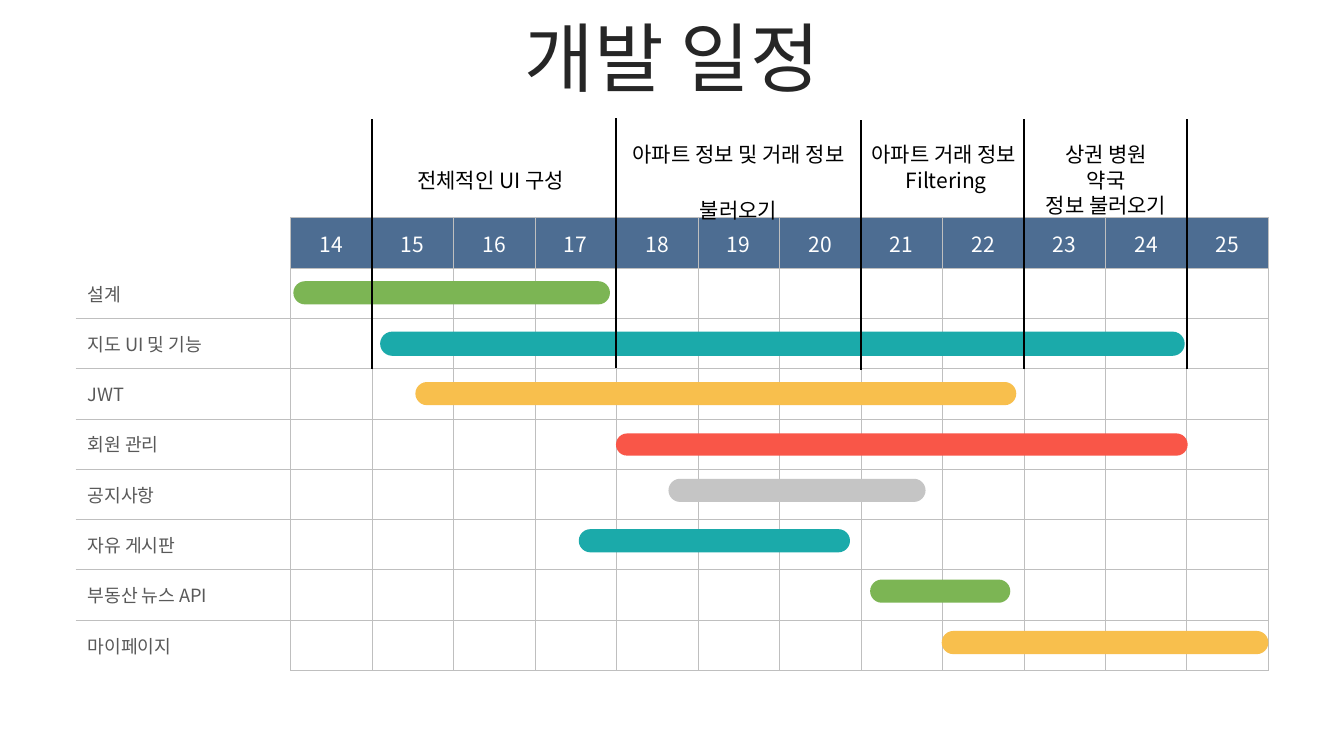
from dataclasses import dataclass

from lxml import etree
from pptx import Presentation, util as u
from pptx.dml.color import RGBColor
from pptx.enum import shapes, text
from pptx.oxml import ns

FONT = "Noto Sans CJK KR"
GREEN, TEAL, YELLOW, RED, GREY = "7CB554", "1BAAAA", "F8BF4D", "F95648", "C5C5C5"
GRID, HEADER, LABEL, BLACK, WHITE = "BFBFBF", "4D6D92", "595959", "000000", "FFFFFF"
NO_STYLE = "{2D5ABB26-0587-4C30-8999-92F81FD0307C}"

# Schedule grid
LEFT, TOP, WIDTH, HEIGHT, LABEL_WIDTH = 0.75, 2.16, 11.83, 4.49, 2.13
DAYS = range(14, 26)
DAY_WIDTH = (WIDTH - LABEL_WIDTH) / len(DAYS)


@dataclass
class Task:
    name: str
    left: float
    top: float
    width: float
    color: str
    height: float = 0.23


@dataclass
class Milestone:
    day: int
    top: float


@dataclass
class Phase:
    caption: str
    left: float
    top: float
    width: float
    height: float = 0.6
    align: text.PP_ALIGN = text.PP_ALIGN.CENTER


TASKS = [
    Task("설계", 2.91, 2.79, 3.14, GREEN),
    Task("지도 UI 및 기능", 3.77, 3.29, 7.98, TEAL, 0.24),
    Task("JWT", 4.12, 3.79, 5.96, YELLOW),
    Task("회원 관리", 6.11, 4.3, 5.67, RED, 0.22),
    Task("공지사항", 6.63, 4.75, 2.55, GREY),
    Task("자유 게시판", 5.74, 5.25, 2.69, TEAL),
    Task("부동산 뉴스 API", 8.63, 5.75, 1.39, GREEN),
    Task("마이페이지", 9.34, 6.26, 3.24, YELLOW),
]
MILESTONES = [Milestone(15, 1.18), Milestone(18, 1.17), Milestone(21, 1.19),
              Milestone(23, 1.18), Milestone(25, 1.18)]
PHASES = [
    Phase("전체적인 UI 구성", 4.04, 1.61, 1.68, 0.35, text.PP_ALIGN.LEFT),
    Phase("아파트 정보 및 거래 정보 \v불러오기", 6.16, 1.36, 2.33),
    Phase("아파트 거래 정보 \vFiltering", 8.54, 1.36, 1.69),
    Phase("상권 병원 약국\v정보 불러오기", 10.26, 1.36, 1.42),
]


def rgb(color: str) -> RGBColor:
    return RGBColor.from_string(color)


def write(tf, words: str, size: float, color: str, align=text.PP_ALIGN.LEFT) -> None:
    tf.text = words
    p = tf.paragraphs[0]
    p.alignment = align
    for r in p.runs:
        for name, value in {"name": FONT, "size": u.Pt(size)}.items():
            setattr(r.font, name, value)
        r.font.color.rgb = rgb(color)
        east_asian = etree.SubElement(r.font._element, ns.qn("a:ea"))
        east_asian.set("typeface", FONT)


def add_border(cell, sides: str) -> None:
    tc_pr = cell._tc.get_or_add_tcPr()
    for side in sides:
        ln = etree.SubElement(tc_pr, ns.qn(f"a:ln{side}"), w=str(u.Pt(0.5)))
        fill = etree.SubElement(ln, ns.qn("a:solidFill"))
        etree.SubElement(fill, ns.qn("a:srgbClr"), val=GRID)


def label_sides(row: int) -> str:
    """Label cells have rules between tasks, but no outer frame."""
    return "R" + ("T" if row > 1 else "") + ("B" if 0 < row < len(TASKS) else "")


def add_schedule(s) -> None:
    rows = len(TASKS) + 1
    frame = s.shapes.add_table(rows, len(DAYS) + 1, u.Inches(LEFT), u.Inches(TOP),
                               u.Inches(WIDTH), u.Inches(HEIGHT))
    table = frame.table
    table.first_row = table.horz_banding = False
    table._tbl.tblPr.find(ns.qn("a:tableStyleId")).text = NO_STYLE
    for i, column in enumerate(table.columns):
        column.width = u.Inches(DAY_WIDTH if i else LABEL_WIDTH)
    for i, row in enumerate(table.rows):
        row.height = u.Inches(HEIGHT / rows)
        for j, cell in enumerate(row.cells):
            add_border(cell, "LRTB" if j else label_sides(i))
            cell.fill.background()
            cell.vertical_anchor = text.MSO_ANCHOR.MIDDLE
            cell.margin_left = cell.margin_right = u.Inches(0.12)
            cell.margin_top = cell.margin_bottom = u.Inches(0.06)
            if i == 0 and j:
                cell.fill.solid()
                cell.fill.fore_color.rgb = rgb(HEADER)
                write(cell.text_frame, str(DAYS[j - 1]), 15, WHITE, text.PP_ALIGN.CENTER)
            elif i and j == 0:
                write(cell.text_frame, TASKS[i - 1].name, 13, LABEL)


def add_bar(s, task: Task) -> None:
    sp = s.shapes.add_shape(shapes.MSO_SHAPE.ROUNDED_RECTANGLE, u.Inches(task.left),
                            u.Inches(task.top), u.Inches(task.width), u.Inches(task.height))
    sp.adjustments[0] = 0.5
    sp.shadow.inherit = False
    sp.fill.solid()
    sp.fill.fore_color.rgb = rgb(task.color)
    sp.line.fill.background()


def add_milestone(s, mark: Milestone) -> None:
    x = u.Inches(LEFT + LABEL_WIDTH + DAYS.index(mark.day) * DAY_WIDTH)
    line = s.shapes.add_connector(shapes.MSO_CONNECTOR.STRAIGHT, x, u.Inches(mark.top + 2.48),
                                  x, u.Inches(mark.top))
    line.line.color.rgb = rgb(BLACK)
    line.line.width = u.Pt(1.5)
    etree.SubElement(line._element.spPr, ns.qn("a:effectLst"))


def add_phase(s, phase: Phase) -> None:
    sp = s.shapes.add_textbox(u.Inches(phase.left), u.Inches(phase.top),
                              u.Inches(phase.width), u.Inches(phase.height))
    sp.text_frame.word_wrap = True
    write(sp.text_frame, phase.caption, 15, BLACK, phase.align)


def add_title(s) -> None:
    sp = s.shapes.title
    box = {"left": 0.34, "top": 0.22, "width": 12.66, "height": 0.79}
    for name, value in box.items():
        setattr(sp, name, u.Inches(value))
    tf = sp.text_frame
    frame = {"word_wrap": True, "auto_size": text.MSO_AUTO_SIZE.NONE,
             "vertical_anchor": text.MSO_ANCHOR.MIDDLE}
    for name, value in frame.items():
        setattr(tf, name, value)
    write(tf, "개발 일정", 54, "262626", text.PP_ALIGN.CENTER)
    tf.paragraphs[0].line_spacing = 0.9


def main() -> None:
    prs = Presentation()
    prs.slide_width, prs.slide_height = u.Inches(13.33), u.Inches(7.5)
    s = prs.slides.add_slide(prs.slide_layouts[5])

    # Title and day grid
    add_title(s)
    add_schedule(s)

    # Task bars, milestone lines and phase captions
    for task in TASKS:
        add_bar(s, task)
    for mark in MILESTONES:
        add_milestone(s, mark)
    for phase in PHASES:
        add_phase(s, phase)

    prs.save("out.pptx")


if __name__ == "__main__":
    main()
